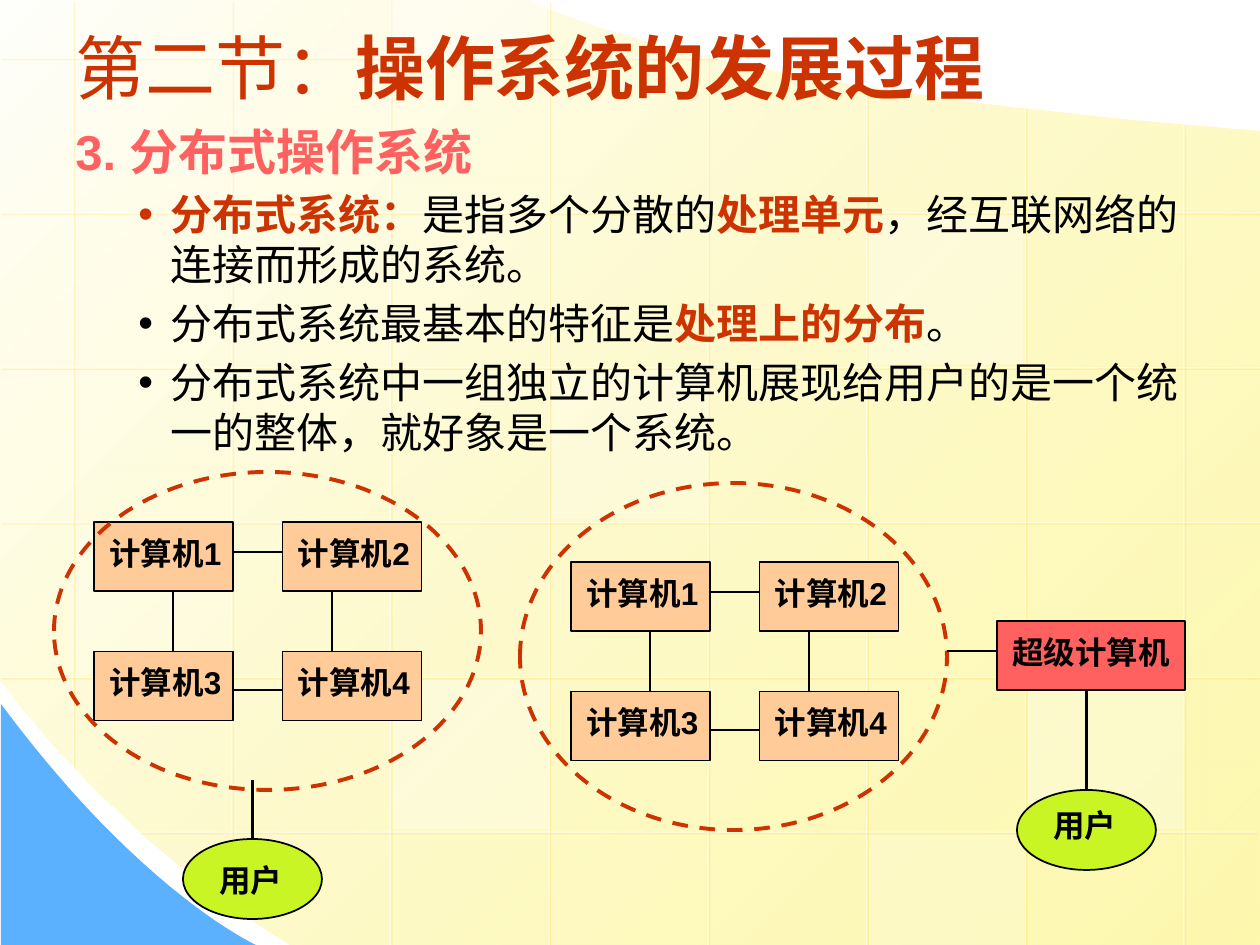
from dataclasses import dataclass

from lxml import etree
from pptx import Presentation
from pptx import util as u
from pptx.dml.color import RGBColor
from pptx.enum import dml, lang, shapes, text
from pptx.oxml.ns import qn


@dataclass(frozen=True)
class Theme:
    font: str = "Arial"
    black: str = "000000"
    white: str = "FFFFFF"
    red: str = "CC3300"
    coral: str = "FF6161"
    peach: str = "FFCC99"
    lime: str = "C8F523"
    blue: str = "5CB1FE"
    cream: str = "FFFFFB"
    yellow: str = "FDF58D"
    gold: str = "FFCC00"
    title: int = 40
    heading: int = 28
    body: int = 24
    label: int = 18


THEME = Theme()
WIDTH, HEIGHT = 1260, 945

# Paragraphs are lists of runs: (text, colour, bold)
TITLE = [("第二节：", THEME.red, False), ("操作系统的发展过程", THEME.red, True)]
HEADING = [("3. 分布式操作系统", THEME.coral, True)]
POINTS = [
    [("分布式系统：", THEME.red, True), ("是指多个分散的", THEME.black, False),
     ("处理单元", THEME.red, True), ("，经互联网络的连接而形成的系统。", THEME.black, False)],
    [("分布式系统最基本的特征是", THEME.black, False),
     ("处理上的分布", THEME.red, True), ("。", THEME.black, False)],
    [("分布式系统中一组独立的计算机展现给用户的是一个统一的整体，就好象是一个系统。",
      THEME.black, False)],
]
COMPUTERS = ["计算机1", "计算机2", "计算机3", "计算机4"]
CLUSTERS = [(94, 522), (571, 562)]
BOUNDARIES = [(54, 472, 427, 318), (520, 483, 427, 347)]
SUPERCOMPUTER = ("超级计算机", (997, 621, 188, 69))
USERS = [("用户", (183, 839, 139, 80), 10), ("用户", (1017, 790, 139, 80), 4)]

# Backdrop: a curve is (control, control, end), a straight step is (end,)
PAGE_START = (1260, 131)
PAGE_STEPS = [((1260, 945),), ((290, 945),), ((108, 833), (0, 679), (0, 679)),
              ((0, 0),), ((530, 0),), ((530, 1), (677, 87), (1260, 131))]
CORNER_START = (1, 704)
CORNER_STEPS = [((1, 945),), ((256, 945),), ((256, 945), (141, 893), (1, 704))]
COLUMN_SPANS = [(0, 767), (0, 906), (0, 945), (0, 945),
                (54, 945), (86, 945), (107, 945), (123, 945)]
ROW_SPANS = [(0, 716), (0, 1260), (0, 1260), (0, 1260), (0, 1260), (140, 1256)]
TILES = [((552, 370, 155, 149), 25), ((1028, 680, 155, 149), 30),
         ((76, 524, 155, 149), 20), ((869, 835, 155, 110), 20),
         ((392, 0, 155, 55), 40), ((393, 680, 155, 149), 30),
         ((868, 215, 155, 149), 30)]


def px(value):
    return u.Emu(round(value * 914400 / 126))


def add_alpha(holder, percent):
    """Make every colour below an XML element partly transparent."""
    for colour in holder.iter(qn("a:srgbClr")):
        etree.SubElement(colour, qn("a:alpha"), val=str(percent * 1000))


def set_line(line, colour, width, dash=None):
    line.color.rgb = RGBColor.from_string(colour)
    line.width = u.Pt(width)
    if dash:
        line.dash_style = dash


def paint(shape, fill=None, outline=None, alpha=None):
    shape.shadow.inherit = False
    if fill:
        shape.fill.solid()
        shape.fill.fore_color.rgb = RGBColor.from_string(fill)
        if alpha:
            add_alpha(shape.fill._xPr.find(qn("a:solidFill")), alpha)
    else:
        shape.fill.background()
    if outline:
        set_line(shape.line, *outline)
    else:
        shape.line.fill.background()


def add_outline(slide, start, steps):
    """Build a closed outline, with each curve sampled as short segments."""
    points, here = [], start
    for step in steps:
        if len(step) == 1:
            points.append(step[0])
        else:
            for i in range(1, 25):
                t = i / 24
                weights = ((1 - t) ** 3, 3 * t * (1 - t) ** 2, 3 * t * t * (1 - t), t ** 3)
                points.append(tuple(sum(w * p[axis] for w, p in zip(weights, (here, *step)))
                                    for axis in (0, 1)))
        here = step[-1]
    builder = slide.shapes.build_freeform(px(start[0]), px(start[1]), scale=1.0)
    builder.add_line_segments([(px(x), px(y)) for x, y in points], close=True)
    return builder.convert_to_shape()


def add_shape(slide, kind, box, **paint_values):
    shape = slide.shapes.add_shape(kind, *map(px, box))
    paint(shape, **paint_values)
    return shape


def add_line(slide, start, end, colour=THEME.black, width=1.0):
    line = slide.shapes.add_connector(shapes.MSO_CONNECTOR.STRAIGHT, *map(px, (*start, *end)))
    set_line(line.line, colour, width)
    etree.SubElement(line._element.spPr, qn("a:effectLst"))
    return line


def add_grid_line(slide, start, end):
    line = add_line(slide, start, end, THEME.white, 0.75)
    properties = line._element.spPr
    add_alpha(properties.find(qn("a:ln")), 50)
    shadow = etree.SubElement(properties.find(qn("a:effectLst")), qn("a:outerShdw"),
                              blurRad="0", dist=str(u.Pt(1.4)), dir="2700000")
    etree.SubElement(shadow, qn("a:srgbClr"), val=THEME.gold)
    add_alpha(shadow, 34)


def add_text_box(slide, box, **frame_values):
    frame = slide.shapes.add_textbox(*map(px, box)).text_frame
    for name, value in {"word_wrap": True, **frame_values}.items():
        setattr(frame, name, value)
    return frame


def write(paragraph, runs, size, margin=0, indent=0, bullet=None, **spacing):
    properties = paragraph._p.get_or_add_pPr()
    properties.set("marL", str(px(margin)))
    properties.set("indent", str(px(indent)))
    for name, value in spacing.items():
        setattr(paragraph, name, value)
    if bullet:
        etree.SubElement(properties, qn("a:buFont"), typeface=THEME.font)
        etree.SubElement(properties, qn("a:buChar"), char=bullet)
    for content, colour, bold in runs:
        run = paragraph.add_run()
        run.text = content
        values = {"name": THEME.font, "size": u.Pt(size), "bold": bold,
                  "language_id": lang.MSO_LANGUAGE_ID.SIMPLIFIED_CHINESE}
        for name, value in values.items():
            setattr(run.font, name, value)
        run.font.color.rgb = RGBColor.from_string(colour)


def add_label(slide, content, box):
    frame = add_text_box(slide, box, auto_size=text.MSO_AUTO_SIZE.SHAPE_TO_FIT_TEXT)
    write(frame.paragraphs[0], [(content, THEME.black, True)], THEME.label,
          margin=102, indent=-39, line_spacing=1.15)


def draw_backdrop(slide):
    page = add_outline(slide, PAGE_START, PAGE_STEPS)
    paint(page)
    page.fill.gradient()
    page.fill.gradient_angle = 315
    for stop, colour, position in zip(page.fill.gradient_stops,
                                      (THEME.cream, THEME.yellow), (0, 1)):
        stop.color.rgb = RGBColor.from_string(colour)
        stop.position = position
    add_alpha(page.fill._xPr.find(qn("a:gradFill")).findall(".//" + qn("a:gs"))[-1], 70)
    paint(add_outline(slide, CORNER_START, CORNER_STEPS), THEME.blue)
    for i, (top, bottom) in enumerate(COLUMN_SPANS):
        x = 73 + i * 158.7
        add_grid_line(slide, (x, top), (x, bottom))
    for i, (left, right) in enumerate(ROW_SPANS):
        y = 58 + i * 154.8
        add_grid_line(slide, (right, y), (left, y))
    for box, alpha in TILES:
        add_shape(slide, shapes.MSO_SHAPE.RECTANGLE, box, fill=THEME.white, alpha=alpha)


def draw_text(slide):
    title = add_text_box(slide, (63, 16, 1134, 101), vertical_anchor=text.MSO_ANCHOR.MIDDLE)
    write(title.paragraphs[0], TITLE, THEME.title)
    body = add_text_box(slide, (0, 115, 1197, 358))
    write(body.paragraphs[0], HEADING, THEME.heading, margin=102, indent=-39)
    for runs in POINTS:
        write(body.add_paragraph(), runs, THEME.body, margin=158, indent=-32,
              bullet="•", space_before=u.Pt(4.8))


def draw_cluster(slide, left, top):
    for i, name in enumerate(COMPUTERS):
        row, column = divmod(i, 2)
        x, y = left + column * 188.5, top + row * 129.5
        add_shape(slide, shapes.MSO_SHAPE.RECTANGLE, (x, y, 139, 69),
                  fill=THEME.peach, outline=(THEME.black, 0.75))
        add_label(slide, name, (x - 60, y, 218, 57))
    for x in (left + 79, left + 238):
        add_line(slide, (x, top + 69), (x, top + 129), width=1.5)
    for y in (top + 30, top + 168):
        add_line(slide, (left + 139, y), (left + 188, y))


def draw_systems(slide):
    for origin in CLUSTERS:
        draw_cluster(slide, *origin)
    for box in BOUNDARIES:
        add_shape(slide, shapes.MSO_SHAPE.OVAL, box,
                  outline=(THEME.red, 2.25, dml.MSO_LINE.DASH))
    name, box = SUPERCOMPUTER
    add_shape(slide, shapes.MSO_SHAPE.RECTANGLE, box,
              fill=THEME.coral, outline=(THEME.black, 0.75))
    add_label(slide, name, (box[0] - 60, box[1], 248, 57))
    add_line(slide, (947, 651), (997, 651))
    for (name, box, drop), line_top in zip(USERS, (780, 690)):
        left, top, width, _ = box
        user = add_shape(slide, shapes.MSO_SHAPE.OVAL, box,
                         fill=THEME.lime, outline=(THEME.black, 1))
        add_label(slide, name, (left - 39, top + drop, 218, 57))
        middle = left + width / 2
        add_line(slide, (middle, line_top), (middle, top), width=1.5).end_connect(user, 0)


def main():
    presentation = Presentation()
    presentation.slide_width, presentation.slide_height = px(WIDTH), px(HEIGHT)
    slide = presentation.slides.add_slide(presentation.slide_layouts[6])
    draw_backdrop(slide)
    draw_text(slide)
    draw_systems(slide)
    presentation.save("out.pptx")


if __name__ == "__main__":
    main()
